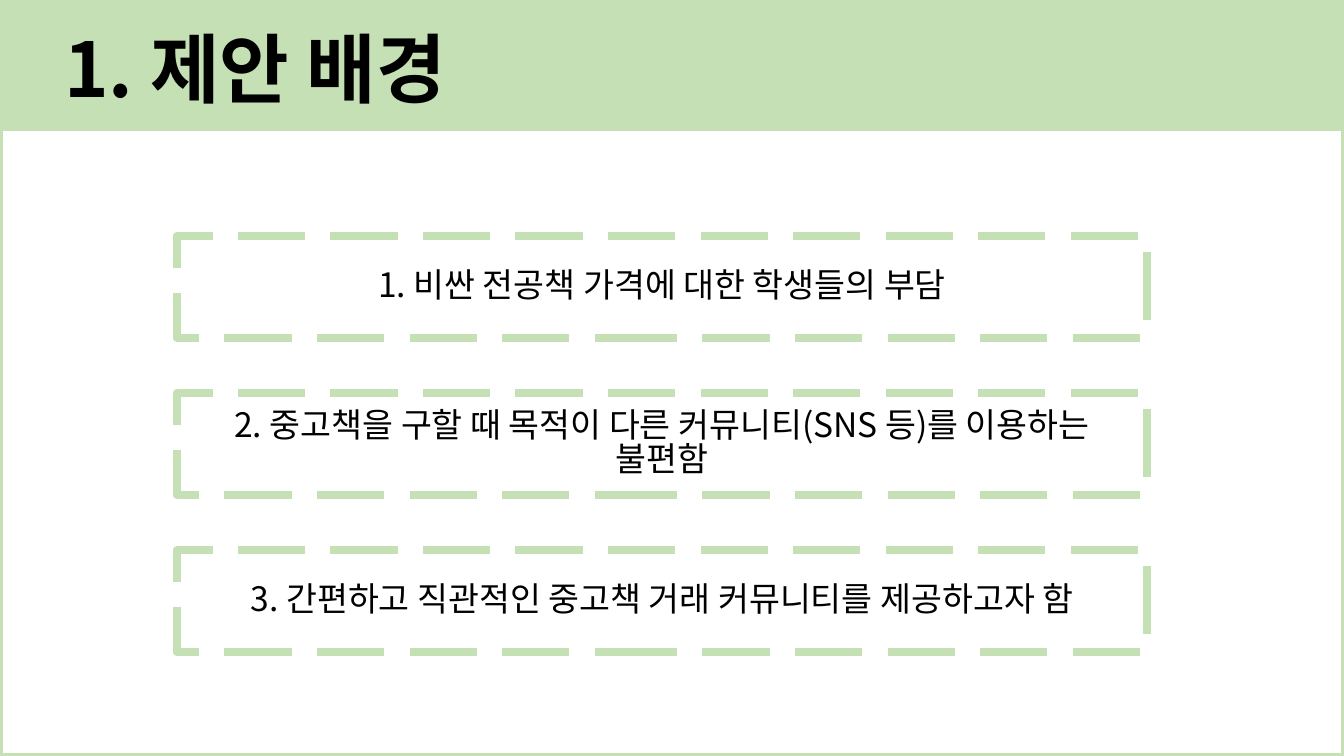
"""Build the proposal background slide with a title band and three dashed boxes."""
from lxml.etree import SubElement
from pptx import Presentation
from pptx.dml.color import RGBColor
from pptx.enum.dml import MSO_LINE
from pptx.enum.shapes import MSO_SHAPE
from pptx.enum.text import MSO_ANCHOR, MSO_AUTO_SIZE, PP_ALIGN
from pptx.oxml.ns import qn
from pptx.util import Emu, Pt

TITLE = "1. 제안 배경"
REASONS = [
    "1. 비싼 전공책 가격에 대한 학생들의 부담",
    "2. 중고책을 구할 때 목적이 다른 커뮤니티(SNS 등)를 이용하는 불편함",
    "3. 간편하고 직관적인 중고책 거래 커뮤니티를 제공하고자 함",
]
COLORS = {"green": "C5E0B4", "text": "000000"}
FONT = "Noto Sans CJK KR"
PX = 914400 / 100.8
WIDTH, HEIGHT, BAND_HEIGHT = 1344, 756, 131
TITLE_BOX = (54, 29, 1094, 102)
REASON_LEFT, REASON_TOP, REASON_WIDTH, REASON_HEIGHT = 177, 236, 970, 102
REASON_STEP = 157


def px(length):
    return Emu(round(length * PX))


def color(name):
    return RGBColor.from_string(COLORS[name])


def add_rectangle(slide, box, line_width=None, filled=False):
    rectangle = slide.shapes.add_shape(MSO_SHAPE.RECTANGLE, *map(px, box))
    rectangle.shadow.inherit = False
    if filled:
        rectangle.fill.solid()
        rectangle.fill.fore_color.rgb = color("green")
    else:
        rectangle.fill.background()
    if line_width:
        rectangle.line.color.rgb = color("green")
        rectangle.line.width = Pt(line_width)
    else:
        rectangle.line.fill.background()
    return rectangle


def write(shape, text, size, bold, align, anchor, spacing):
    frame = shape.text_frame
    frame.text = text
    frame.word_wrap = True
    frame.auto_size = MSO_AUTO_SIZE.NONE
    frame.vertical_anchor = anchor
    paragraph = frame.paragraphs[0]
    paragraph.alignment = align
    paragraph.line_spacing = spacing
    for run in paragraph.runs:
        run.font.name = FONT
        run.font.size = Pt(size)
        run.font.bold = bold
        run.font.color.rgb = color("text")
        SubElement(run.font._element, qn("a:ea")).set("typeface", FONT)


def main():
    presentation = Presentation()
    presentation.slide_width, presentation.slide_height = px(WIDTH), px(HEIGHT)
    slide = presentation.slides.add_slide(presentation.slide_layouts[5])

    add_rectangle(slide, (0, 0, WIDTH, HEIGHT), line_width=4.5)
    add_rectangle(slide, (0, 0, WIDTH, BAND_HEIGHT), filled=True)

    title = slide.shapes.title
    slide.shapes._spTree.append(title._element)
    title.left, title.top, title.width, title.height = map(px, TITLE_BOX)
    write(title, TITLE, 54, True, PP_ALIGN.LEFT, MSO_ANCHOR.TOP, 0.88)

    for index, text in enumerate(REASONS):
        top = REASON_TOP + index * REASON_STEP
        reason = add_rectangle(
            slide, (REASON_LEFT, top, REASON_WIDTH, REASON_HEIGHT), line_width=6)
        reason.line.dash_style = MSO_LINE.LONG_DASH
        write(reason, text, 24, False, PP_ALIGN.CENTER, MSO_ANCHOR.MIDDLE, 0.84)

    presentation.save("out.pptx")


if __name__ == "__main__":
    main()
